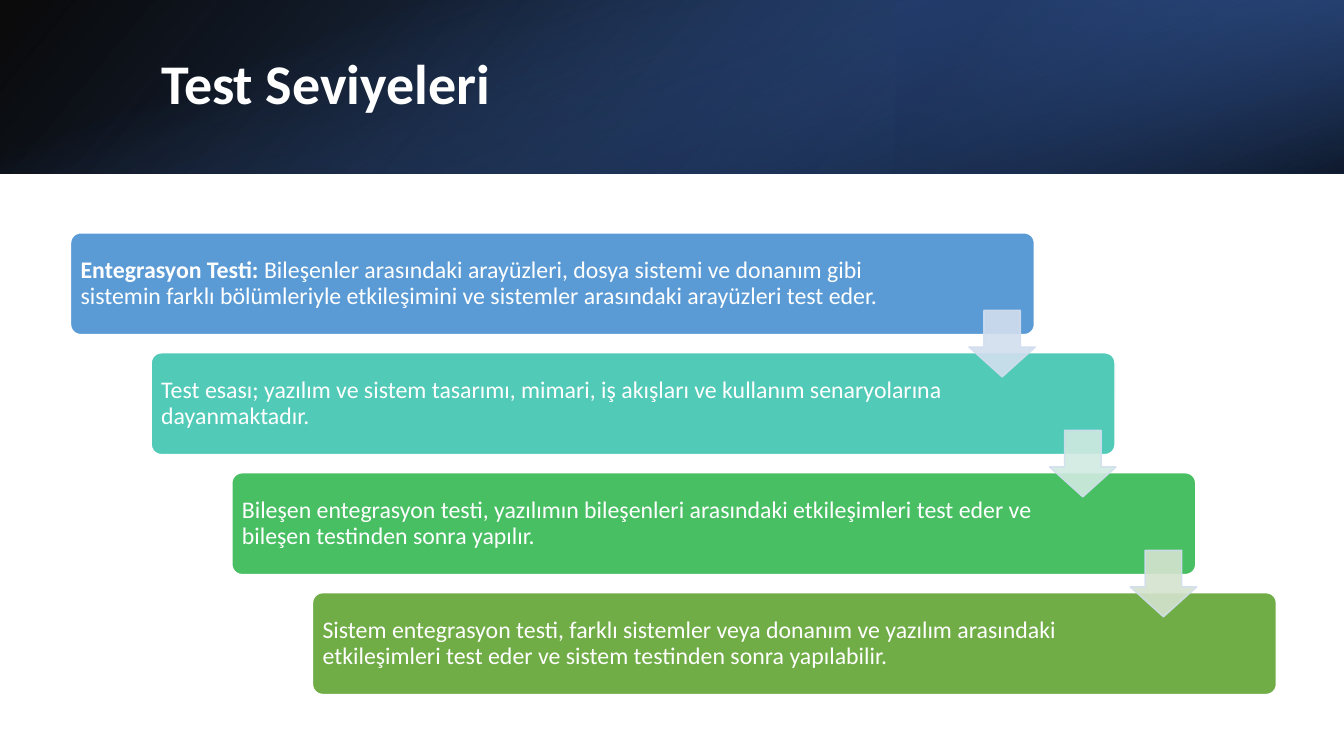
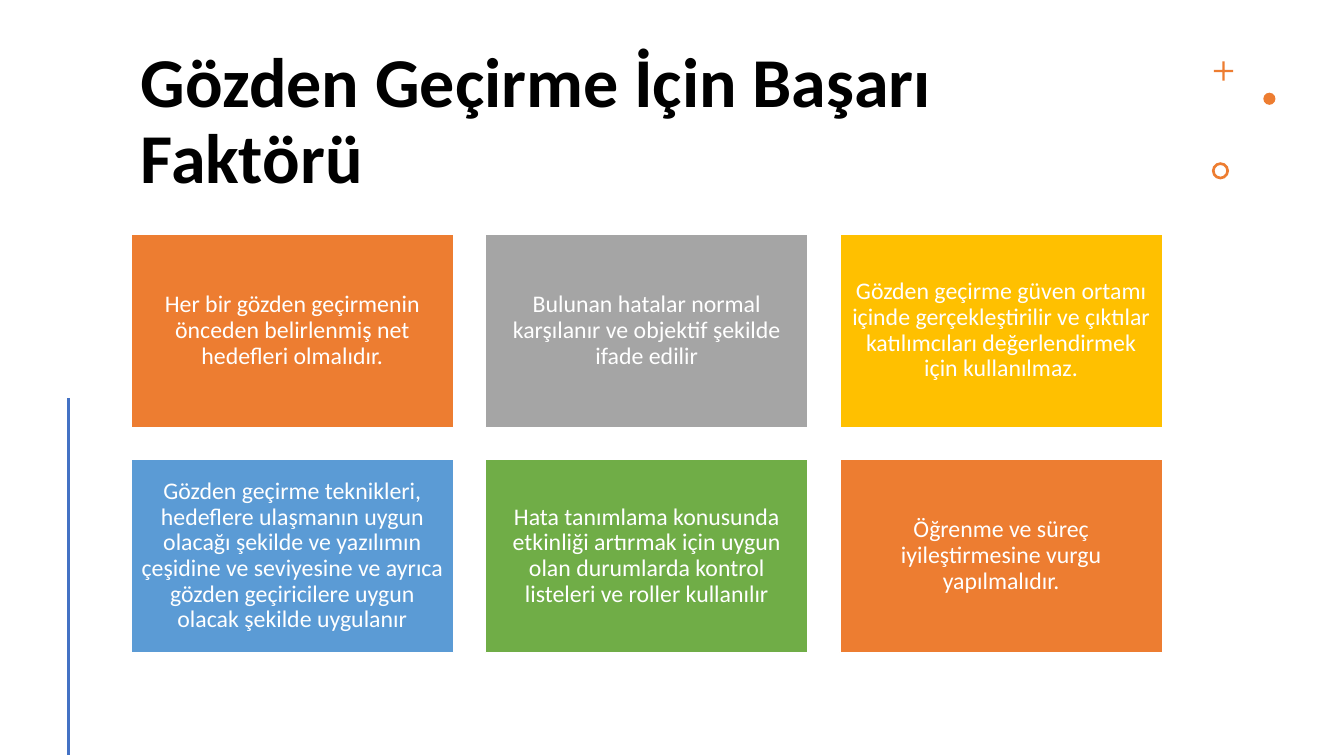
from dataclasses import dataclass

from lxml.etree import SubElement
from pptx import Presentation
from pptx.dml.color import RGBColor
from pptx.enum.shapes import MSO_CONNECTOR, MSO_SHAPE
from pptx.enum.text import MSO_ANCHOR as Anchor, PP_ALIGN as Align
from pptx.oxml.ns import qn
from pptx.util import Inches, Pt

WIDTH, HEIGHT = 13.33, 7.5


@dataclass(frozen=True)
class Theme:
    font: str = "Calibri"
    black: str = "000000"
    white: str = "FFFFFF"
    blue: str = "4472C4"
    navy: str = "203864"
    deep_blue: str = "2F5597"
    sky: str = "5B9BD5"
    teal: str = "52CAB8"
    emerald: str = "49BF64"
    green: str = "70AD47"
    orange: str = "ED7D31"
    gray: str = "A5A5A5"
    gold: str = "FFC000"
    arrow_line: str = "D2DEEF"
    arrow_fills: tuple = ("D2DEEF", "D0EAE1", "D5E3CF")
    body_size: int = 17
    band_title_size: int = 40
    title_size: int = 50


def set_alphas(shape, percents):
    """Set the opacity of the shape's colours, in document order."""
    colors = shape._element.spPr.iter(qn("a:srgbClr"))
    for color, percent in zip(list(colors), percents):
        SubElement(color, qn("a:alpha")).set("val", str(percent * 1000))


class SlideBuilder:
    def __init__(self, theme):
        self.theme = theme
        self.deck = Presentation()
        self.deck.slide_width = Inches(WIDTH)
        self.deck.slide_height = Inches(HEIGHT)
        self.page = None

    def new_page(self):
        self.page = self.deck.slides.add_slide(self.deck.slide_layouts[6])

    def shape(self, kind, at, fill=None, line=None, adjust=()):
        shape = self.page.shapes.add_shape(kind, *map(Inches, at))
        shape.shadow.inherit = False
        for index, value in enumerate(adjust):
            shape.adjustments[index] = value
        if fill:
            shape.fill.solid()
            shape.fill.fore_color.rgb = RGBColor.from_string(fill)
        if line:
            shape.line.color.rgb = RGBColor.from_string(line)
            shape.line.width = Pt(1)
        else:
            shape.line.fill.background()
        return shape

    def gradient(self, at, stops, angle, rotation=0, flip=False):
        """Stops are (position, colour, opacity); the angle runs clockwise."""
        shape = self.shape(MSO_SHAPE.RECTANGLE, at)
        shape.rotation = rotation
        if flip:
            shape._element.spPr.xfrm.set("flipH", "1")
        shape.fill.gradient()
        shape.fill.gradient_angle = 360 - angle
        for stop, (position, color, _) in zip(shape.fill.gradient_stops, stops):
            stop.position = position
            stop.color.rgb = RGBColor.from_string(color)
        set_alphas(shape, [opacity for _, _, opacity in stops])

    def fill_text(self, box, spans, size, color, align=Align.LEFT, anchor=Anchor.MIDDLE):
        """Spans are (text, bold) pairs of one paragraph."""
        frame = box.text_frame
        frame.word_wrap = True
        frame.vertical_anchor = anchor
        para = frame.paragraphs[0]
        para.alignment = align
        para.line_spacing = 0.9
        for text, bold in spans:
            span = para.add_run()
            span.text = text
            span.font.name = self.theme.font
            span.font.size = Pt(size)
            span.font.bold = bold
            span.font.color.rgb = RGBColor.from_string(color)

    def title(self, text, at, size, color, anchor):
        box = self.page.shapes.add_textbox(*map(Inches, at))
        self.fill_text(box, [(text, True)], size, color, anchor=anchor)

    def card(self, kind, at, fill, spans, align, right_margin=0.07, adjust=()):
        box = self.shape(kind, at, fill, self.theme.white, adjust)
        frame = box.text_frame
        frame.margin_left = frame.margin_top = frame.margin_bottom = Inches(0.07)
        frame.margin_right = Inches(right_margin)
        self.fill_text(box, spans, self.theme.body_size, self.theme.white, align)

    def arrow(self, at, fill):
        arrow = self.shape(MSO_SHAPE.DOWN_ARROW, at, fill, self.theme.arrow_line, (0.55, 0.45))
        set_alphas(arrow, (90, 90))

    def line(self, start, end, color, width):
        line = self.page.shapes.add_connector(
            MSO_CONNECTOR.STRAIGHT, *map(Inches, start + end))
        line.line.color.rgb = RGBColor.from_string(color)
        line.line.width = Pt(width)
        SubElement(line._element.spPr, qn("a:effectLst"))


def build_levels(slides):
    theme = slides.theme
    slides.new_page()

    # Title band: three layered gradients
    band = 1.72
    slides.gradient((0, 0, WIDTH, band),
                    [(0, theme.black, 96), (1, theme.deep_blue, 100)], 140, flip=True)
    slides.gradient((WIDTH * 2 / 3, 0, WIDTH / 3, band),
                    [(0.19, theme.navy, 68), (1, theme.blue, 79)], 320, 180, True)
    offset = (WIDTH - band) / 2
    slides.gradient((offset, -offset, band, WIDTH),
                    [(0.23, theme.blue, 0), (0.99, theme.black, 74)], 340, 90)
    slides.title("Test Seviyeleri", (1.5, 0.38, 10.98, 0.96),
                 theme.band_title_size, theme.white, Anchor.MIDDLE)

    # Staircase of steps
    steps = [
        (theme.sky, [
            ("Entegrasyon Testi: ", True),
            ("Bileşenler arasındaki arayüzleri, dosya sistemi ve donanım gibi sistemin "
             "farklı bölümleriyle etkileşimini ve sistemler arasındaki arayüzleri test eder.",
             False)]),
        (theme.teal, [
            ("Test esası; yazılım ve sistem tasarımı, mimari, iş akışları ve kullanım "
             "senaryolarına dayanmaktadır.", False)]),
        (theme.emerald, [
            ("Bileşen entegrasyon testi, yazılımın bileşenleri arasındaki etkileşimleri "
             "test eder ve bileşen testinden sonra yapılır.", False)]),
        (theme.green, [
            ("Sistem entegrasyon testi, farklı sistemler veya donanım ve yazılım arasındaki "
             "etkileşimleri test eder ve sistem testinden sonra yapılabilir.", False)]),
    ]
    corners = [(0.7 + 0.8 * index, 2.31 + 1.19 * index) for index in range(len(steps))]
    for (left, top), (fill, spans) in zip(corners, steps):
        slides.card(MSO_SHAPE.ROUNDED_RECTANGLE, (left, top, 9.56, 1.01), fill, spans,
                    Align.LEFT, right_margin=1.4, adjust=(0.1,))

    # Arrows between steps
    for (left, top), fill in zip(corners, theme.arrow_fills):
        slides.arrow((left + 8.91, top + 0.77, 0.66, 0.66), fill)


def build_factors(slides):
    theme = slides.theme
    slides.new_page()
    slides.title("Gözden Geçirme İçin Başarı Faktörü", (1.3, 0.42, 10.23, 1.31),
                 theme.title_size, theme.black, Anchor.TOP)

    # Corner ornaments and side rule
    slides.shape(MSO_SHAPE.CROSS, (12.04, 0.61, 0.19, 0.19), theme.orange, adjust=(0.44,))
    slides.shape(MSO_SHAPE.OVAL, (12.53, 0.92, 0.12, 0.12), theme.orange)
    slides.shape(MSO_SHAPE.DONUT, (12.02, 1.61, 0.17, 0.17), theme.orange, adjust=(0.16,))
    slides.line((0.68, 3.95), (0.68, 7.49), theme.blue, 2)

    # Grid of factors
    factors = [
        (theme.orange, "Her bir gözden geçirmenin önceden belirlenmiş net hedefleri olmalıdır."),
        (theme.gray, "Bulunan hatalar normal karşılanır ve objektif şekilde ifade edilir"),
        (theme.gold, "Gözden geçirme güven ortamı içinde gerçekleştirilir ve çıktılar "
                     "katılımcıları değerlendirmek için kullanılmaz."),
        (theme.sky, "Gözden geçirme teknikleri, hedeflere ulaşmanın uygun olacağı şekilde ve "
                    "yazılımın çeşidine ve seviyesine ve ayrıca gözden geçiricilere uygun "
                    "olacak şekilde uygulanır"),
        (theme.green, "Hata tanımlama konusunda etkinliği artırmak için uygun olan durumlarda "
                      "kontrol listeleri ve roller kullanılır"),
        (theme.orange, "Öğrenme ve süreç iyileştirmesine vurgu yapılmalıdır."),
    ]
    columns, width, height = 3, 3.2, 1.92
    gap = (10.23 - columns * width) / (columns - 1)
    for index, (fill, text) in enumerate(factors):
        row, column = divmod(index, columns)
        at = (1.3 + column * (width + gap), 2.32 + row * (height + gap), width, height)
        slides.card(MSO_SHAPE.RECTANGLE, at, fill, [(text, False)], Align.CENTER)


def main():
    slides = SlideBuilder(Theme())
    build_levels(slides)
    build_factors(slides)
    slides.deck.save("out.pptx")


if __name__ == "__main__":
    main()
